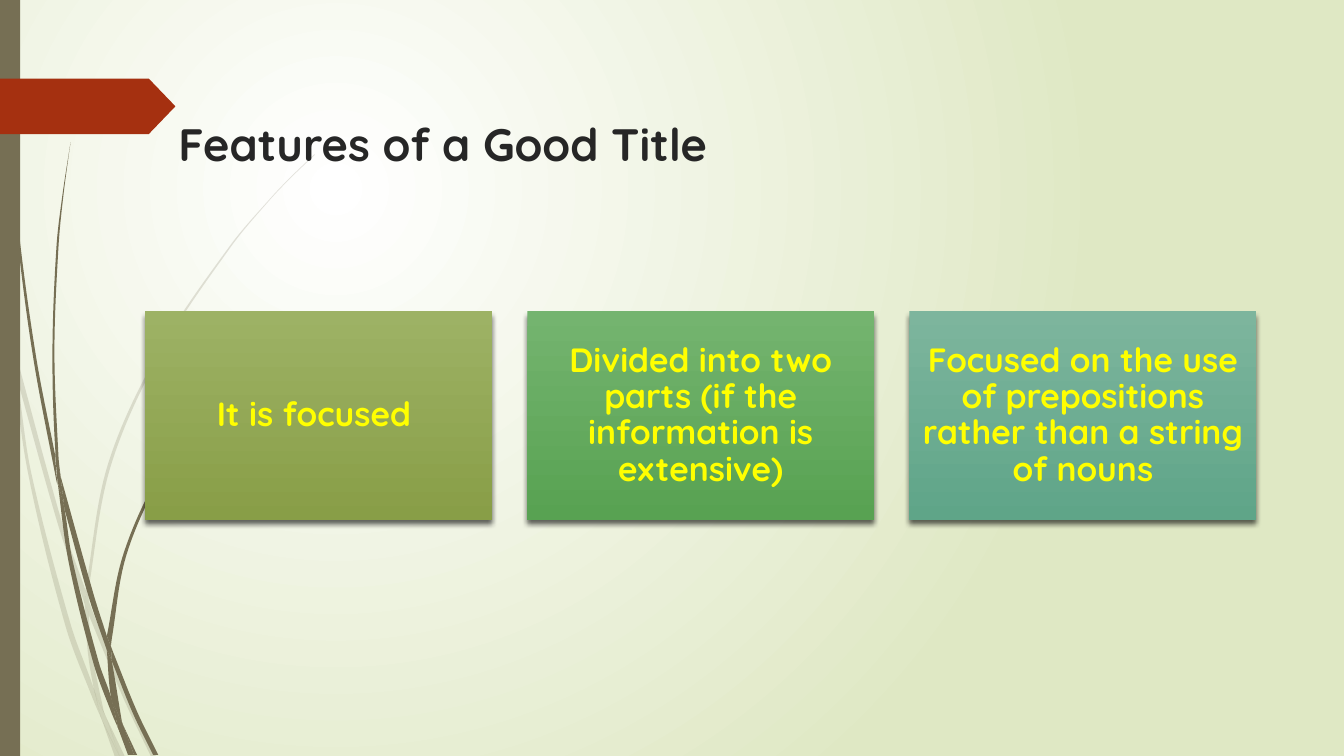
from math import dist
from lxml.etree import SubElement as Sub
from pptx import Presentation
from pptx.dml.color import RGBColor
from pptx.enum.shapes import MSO_SHAPE as Kind
from pptx.enum.text import MSO_ANCHOR as Anchor, PP_ALIGN as Align
from pptx.oxml.ns import qn
from pptx.util import Emu, Pt

FONT = "Quicksand"
TITLE = "Features of a Good Title"
CARDS = [
    ("It is focused ", "9DB265", "889E47"),
    ("Divided into two parts (if the information is extensive)", "74B46F", "58A252"),
    ("Focused on the use of prepositions rather than a string of nouns",
     "7DB59D", "5FA588"),
]
BROWN, RED, DARK, YELLOW = "766F54", "A53010", "262626", "FFFF00"
GLOW = ("FFFFFF", "DFE8C4")
PALE = [
    [[(9, 322), (0, 282)], [(0, 299)], [(10, 344), (11, 350)]],
    [[(58, 522), (84, 599)], [(85, 586)], [(62, 520), (14, 345)], [(17, 376)]],
    [[(88, 610)], [(123, 694), (150, 751)], [(155, 751)],
     [(127, 692), (92, 607), (88, 596)]],
    [[(124, 751)], [(105, 711)], [(119, 751)]],
    [[(93, 683), (70, 619), (31, 469), (17, 376), (11, 350)],
     [(28, 470), (65, 621), (92, 693), (101, 714)], [(99, 707)]],
    [[(87, 646), (93, 683), (96, 692), (105, 711)],
     [(103, 706), (91, 646), (88, 610), (88, 608)], [(84, 599)]],
    [[(88, 584), (110, 462), (160, 349), (229, 245), (268, 198), (290, 175),
      (312, 154)], [(312, 153)],
     [(289, 175), (268, 197), (228, 244), (158, 348), (107, 461), (85, 584),
      (85, 586)], [(88, 596)]],
    [[(114, 751)], [(119, 751)], [(101, 714)]],
    [[(88, 610)], [(88, 596)], [(85, 586)], [(84, 599)], [(88, 608)]],
    [[(99, 707), (101, 714), (119, 751)], [(105, 711), (96, 692), (93, 683)]],
]
DEEP = [
    [[(5, 48), (7, 110), (17, 233), (33, 355), (56, 477), (57, 481)],
     [(55, 457), (55, 453)],
     [(36, 355), (19, 232), (8, 109), (5, 48), (4, 0)], [(3, 0)]],
    [[(88, 592), (106, 645)], [(106, 633), (106, 631)],
     [(93, 590), (60, 472)], [(64, 505)]],
    [[(111, 656)], [(132, 708), (152, 749)], [(157, 749)],
     [(136, 706), (113, 649), (110, 641)]],
    [[(110, 691), (98, 657), (72, 556), (64, 505), (57, 477)],
     [(68, 557), (93, 659), (111, 708), (117, 722)], [(116, 717)]],
    [[(58, 453), (54, 349), (58, 245), (63, 193), (70, 141)],
     [(62, 193), (56, 245), (52, 349), (55, 449), (60, 472)]],
    [[(136, 749)], [(122, 719)], [(133, 749)]],
    [[(64, 505)], [(60, 472)], [(55, 449), (55, 453), (57, 477)]],
    [[(111, 633), (125, 552), (158, 476), (205, 406), (231, 374), (245, 359),
      (261, 344)], [(260, 344)],
     [(245, 358), (231, 373), (204, 405), (156, 474), (122, 551), (106, 631)],
     [(110, 641)]],
    [[(127, 749)], [(131, 749)], [(117, 722)]],
    [[(110, 691), (116, 706), (122, 719)],
     [(121, 716), (111, 656), (109, 651), (106, 645)]],
    [[(109, 651), (111, 656)], [(110, 641)], [(106, 631)], [(106, 633), (106, 645)]],
    [[(116, 717), (117, 722), (130, 749)], [(133, 749)],
     [(122, 719), (116, 706), (110, 691)]],
]


def px(n):
    return Emu(round(n * 9144))


def color(code):
    return RGBColor.from_string(code)


def blend(fill, pair):
    fill.gradient()
    for stop, code in zip(fill.gradient_stops, pair):
        stop.color.rgb = color(code)


def clean(shape):
    shape.shadow.inherit = False
    shape.line.fill.background()
    return shape


def block(kind, *box):
    return clean(slide.shapes.add_shape(kind, *map(px, box)))


def paint(shape, code):
    shape.fill.solid()
    shape.fill.fore_color.rgb = color(code)


def write(frame, text, size, code, align, anchor):
    frame.word_wrap = True
    frame.vertical_anchor = anchor
    para = frame.paragraphs[0]
    para.alignment = align
    run = para.add_run()
    run.text = text
    font = run.font
    font.name, font.size, font.bold = FONT, Pt(size), True
    font.color.rgb = color(code)
    return para


def pull(prev, knot, after, reach):
    span = dist(prev, knot) + dist(knot, after)
    return [(b - a) / span * reach / 3 for a, b in zip(prev, after)]


def bend(side):
    ends = [side[0], *side, side[-1]]
    for a, b, c, d in zip(ends, ends[1:], ends[2:], ends[3:]):
        gap = dist(b, c)
        out, back = pull(a, b, c, gap), pull(b, c, d, gap)
        yield ([p + q for p, q in zip(b, out)],
               [p - q for p, q in zip(c, back)], c)


def blade(sides, alpha):
    start = sides[-1][-1]
    knots = [k for side in sides for k in side]
    left, top = map(min, zip(*knots))
    form = slide.shapes.build_freeform(*map(px, start))
    form.add_line_segments([tuple(map(px, k)) for k in knots], close=True)
    shape = clean(form.convert_to_shape())
    paint(shape, BROWN)
    curves = []
    for side in sides:
        curves += bend([start, *side])
        start = side[-1]
    for line, curve in zip(list(shape.element.iter(qn("a:lnTo"))), curves):
        line.tag = qn("a:cubicBezTo")
        line.remove(line[0])
        for x, y in curve:
            Sub(line, qn("a:pt"), x=str(px(x - left)), y=str(px(y - top)))
    if alpha < 100:
        tone = next(shape.element.spPr.iter(qn("a:srgbClr")))
        Sub(tone, qn("a:alpha"), val=str(alpha * 1000))


def shade(shape):
    box = shape.element.spPr.find(qn("a:effectLst"))
    cast = Sub(box, qn("a:outerShdw"), blurRad=str(Pt(4)), dist=str(Pt(3)),
               dir="5400000", rotWithShape="0")
    tone = Sub(cast, qn("a:srgbClr"), val="000000")
    Sub(tone, qn("a:alpha"), val="60000")


deck = Presentation()
deck.slide_width, deck.slide_height = px(1333), px(750)
slide = deck.slides.add_slide(deck.slide_layouts[6])

blend(slide.background.fill, GLOW)
grad = next(slide.element.iter(qn("a:gradFill")))
grad.remove(grad.find(qn("a:lin")))
ring = Sub(grad, qn("a:path"), path="circle")
Sub(ring, qn("a:fillToRect"), l="50000", t="50000", r="100000", b="100000")

for group, alpha in ((PALE, 20), (DEEP, 100)):
    for sides in group:
        blade(sides, alpha)

paint(block(Kind.RECTANGLE, 0, 0, 20, 750), BROWN)
tag = block(Kind.PENTAGON, 0, 78, 174, 55)
tag.adjustments[0] = 0.48
paint(tag, RED)

head = slide.shapes.add_textbox(*map(px, (167, 110, 975, 67)))
write(head.text_frame, TITLE, 32.4, DARK, Align.LEFT, Anchor.TOP)

for i, (text, *pair) in enumerate(CARDS):
    card = block(Kind.RECTANGLE, 144 + 379 * i, 309, 344, 207)
    blend(card.fill, pair)
    card.fill.gradient_angle = 270
    shade(card)
    frame = card.text_frame
    frame.margin_left = frame.margin_right = px(10)
    frame.margin_top = frame.margin_bottom = px(10)
    para = write(frame, text, 24, YELLOW, Align.CENTER, Anchor.MIDDLE)
    para.line_spacing = 0.9

deck.save("out.pptx")
